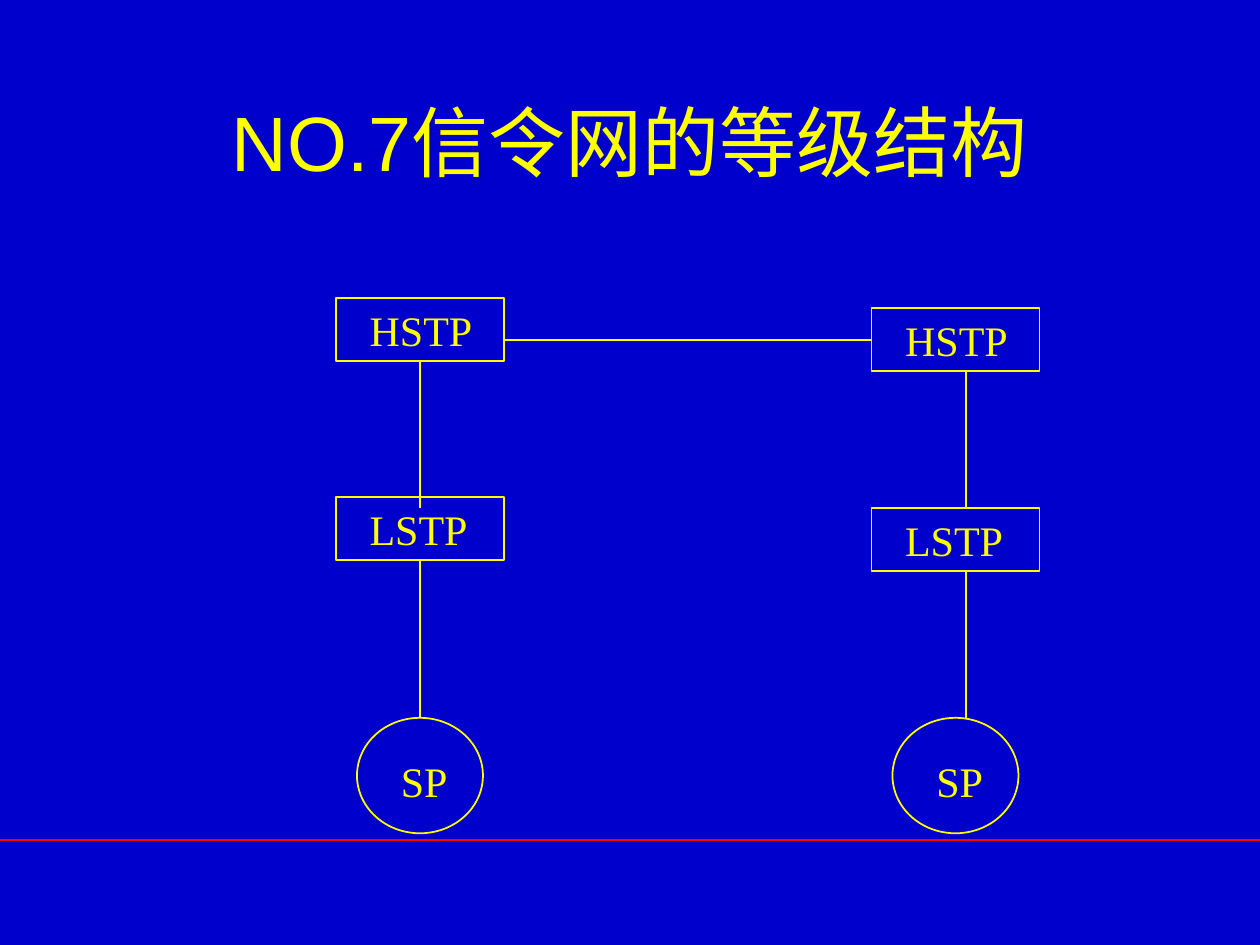
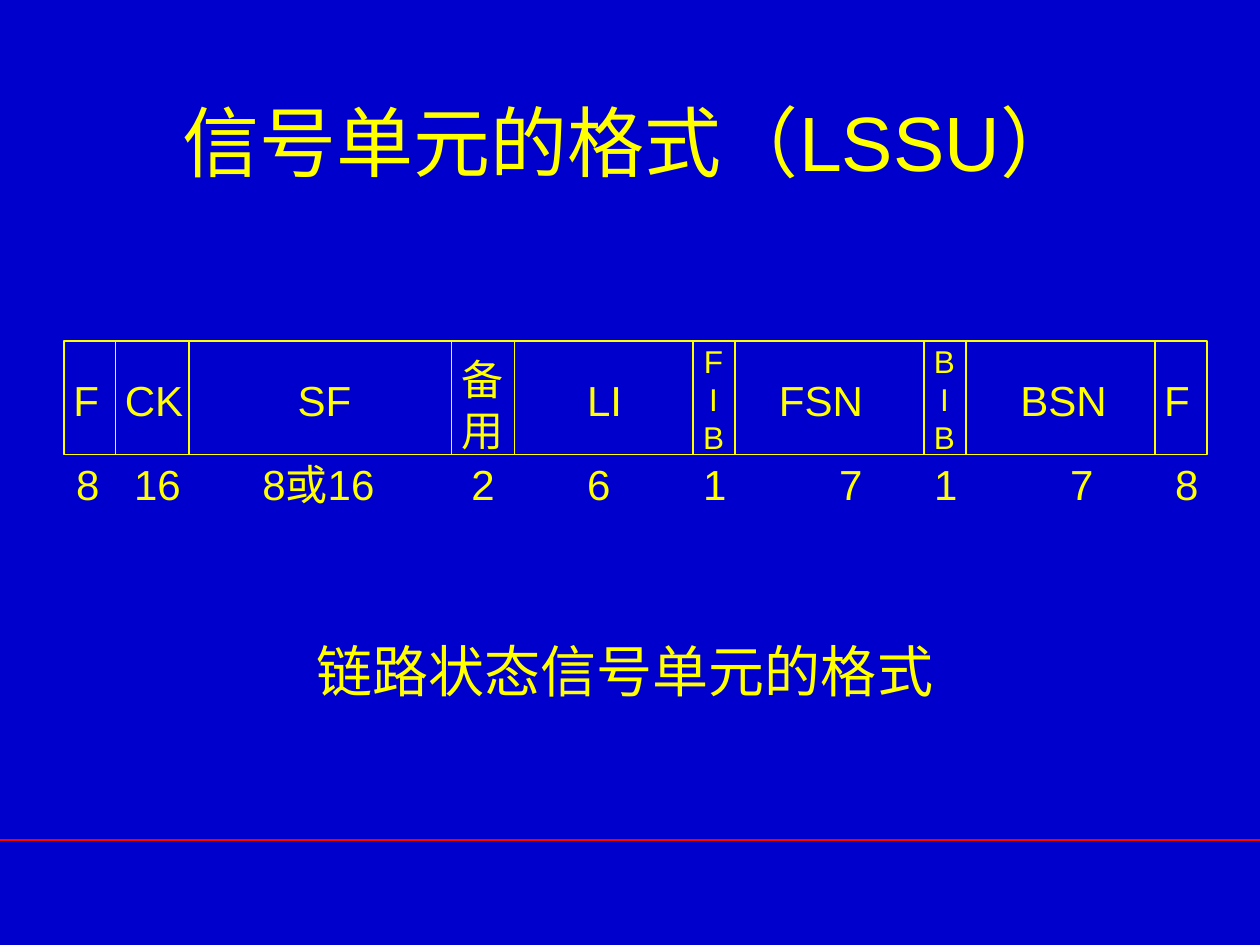
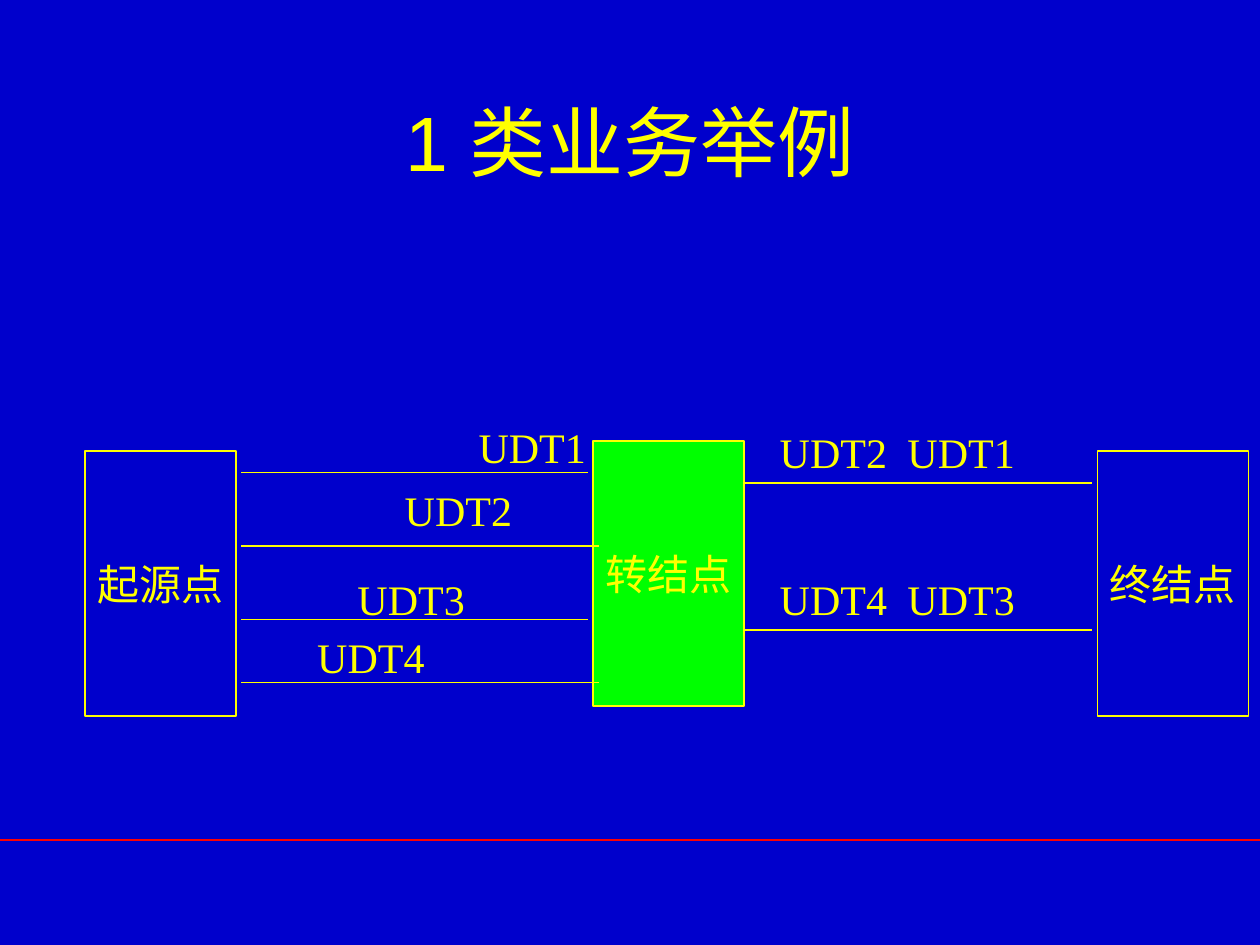
from dataclasses import dataclass

from lxml.etree import SubElement
from pptx import Presentation
from pptx.dml.color import RGBColor
from pptx.enum.shapes import MSO_CONNECTOR, MSO_SHAPE
from pptx.enum.text import MSO_ANCHOR, MSO_AUTO_SIZE, PP_ALIGN
from pptx.oxml.ns import qn
from pptx.util import Pt


@dataclass(frozen=True)
class Theme:
    background: RGBColor = RGBColor(0x00, 0x00, 0xCC)
    ink: RGBColor = RGBColor(0xFF, 0xFF, 0x00)
    rule: RGBColor = RGBColor(0xFF, 0x00, 0x00)
    highlight: RGBColor = RGBColor(0x00, 0xFF, 0x00)
    sans: str = "Arial"
    serif: str = "Times New Roman"
    title_size: float = 44
    caption_size: float = 32
    label_size: float = 24
    small_size: float = 18
    line_width: float = 1


@dataclass(frozen=True)
class Box:
    left: float
    top: float
    width: float
    height: float

    def lengths(self) -> tuple:
        return Pt(self.left), Pt(self.top), Pt(self.width), Pt(self.height)


@dataclass(frozen=True)
class Tower:
    left: float
    top: float
    stem: float
    stem_overlap: float


@dataclass(frozen=True)
class Field:
    name: str
    left: float
    name_left: float
    name_width: float
    bits: str
    bits_left: float
    bits_width: float = 28


@dataclass(frozen=True)
class Node:
    name: str
    left: float
    top: float
    filled: bool = False


@dataclass(frozen=True)
class Message:
    text: str
    left: float
    top: float
    width: float
    line_start: float
    line_end: float
    line_top: float


THEME = Theme()
SLIDE_WIDTH, SLIDE_HEIGHT = 720, 540
LABEL_HEIGHT = 36

TOWERS = [Tower(192, 170.2, 240, 6), Tower(498, 176.2, 552, 0)]
LEVEL_GAP = 114
TOWER_BOX_WIDTH = 96
CIRCLE_TOP = 410.2

FRAME = Box(36.6, 194.7, 653.1, 65)
FIELDS = [
    Field("F", 36.6, 34.8, 30, "8", 36.4),
    Field("CK", 66, 64.3, 50, "16", 69.6, 44),
    Field("SF", 108, 163, 48, "8或16", 142.8, 95),
    Field("备\n用", 258, 256.6, 38.4, "2", 262.3),
    Field("LI", 294, 328.4, 36, "6", 328.4),
    Field("F\nI\nB", 396, 394.2, 27, "1", 394.7),
    Field("FSN", 420, 438, 70, "7", 472.4),
    Field("B\nI\nB", 528, 526.2, 27, "1", 526.7),
    Field("BSN", 552, 576, 70, "7", 604.4),
    Field("F", 660, 658.1, 30, "8", 664.4),
]

NODES = [
    Node("起源点", 48.7, 257.9),
    Node("终结点", 627.1, 257.9),
    Node("转结点", 339, 251.9, True),
]
MESSAGES = [
    Message("UDT1", 266.4, 237.6, 78, 138, 336, 270),
    Message("UDT2", 224.2, 273.6, 78, 138, 342, 312),
    Message("UDT3", 197.2, 324, 78, 138, 336, 354),
    Message("UDT4", 174.2, 357.1, 78, 138, 342, 390),
    Message("UDT2\tUDT1", 438.5, 240, 185, 426, 624, 276),
    Message("UDT4\tUDT3", 438.5, 324, 185, 426, 624, 360),
]
MESSAGE_TAB = 73


def write(frame, text: str, size: float, font: str, align=PP_ALIGN.LEFT) -> None:
    frame.text = text
    for paragraph in frame.paragraphs:
        paragraph.alignment = align
        if "\t" in text:
            tabs = SubElement(paragraph._p.get_or_add_pPr(), qn("a:tabLst"))
            SubElement(tabs, qn("a:tab"), pos=str(Pt(MESSAGE_TAB)), algn="l")
        paragraph.font.size = Pt(size)
        paragraph.font.name = font
        paragraph.font.color.rgb = THEME.ink


def add_label(page, box: Box, text: str, size: float, font: str,
              align=PP_ALIGN.LEFT) -> None:
    frame = page.shapes.add_textbox(*box.lengths()).text_frame
    frame.word_wrap = False
    frame.auto_size = MSO_AUTO_SIZE.SHAPE_TO_FIT_TEXT
    write(frame, text, size, font, align)


def add_outline(page, box: Box, preset=MSO_SHAPE.RECTANGLE, fill: RGBColor | None = None):
    shape = page.shapes.add_shape(preset, *box.lengths())
    shape.shadow.inherit = False
    if fill is None:
        shape.fill.background()
    else:
        shape.fill.solid()
        shape.fill.fore_color.rgb = fill
    shape.line.color.rgb = THEME.ink
    shape.line.width = Pt(THEME.line_width)
    return shape


def add_line(page, start: tuple, end: tuple, color: RGBColor = THEME.ink):
    line = page.shapes.add_connector(
        MSO_CONNECTOR.STRAIGHT, *(Pt(value) for value in (*start, *end)))
    line.line.color.rgb = color
    line.line.width = Pt(THEME.line_width)
    SubElement(line.element.spPr, qn("a:effectLst"))
    return line


def prepare_layout(deck):
    layout = deck.slide_layouts.get_by_name("Title Only")
    layout.background.fill.solid()
    layout.background.fill.fore_color.rgb = THEME.background
    title = layout.placeholders[0]
    title.left, title.top, title.width, title.height = Box(54, 35.3, 612, 90).lengths()
    return layout


def add_page(deck, layout, title: str):
    page = deck.slides.add_slide(layout)
    write(page.shapes.title.text_frame, title, THEME.title_size, THEME.sans,
          PP_ALIGN.CENTER)
    return page


def add_footer_rule(page, layout) -> None:
    rule = add_line(page, (0, 480.2), (SLIDE_WIDTH, 480.2), THEME.rule)
    layout.shapes.element.append(rule.element)


def draw_tower(page, tower: Tower) -> None:
    lower_top = tower.top + LEVEL_GAP
    for name, top in (("HSTP", tower.top), ("LSTP", lower_top)):
        box = Box(tower.left, top, TOWER_BOX_WIDTH, LABEL_HEIGHT)
        frame = add_outline(page, box).text_frame
        frame.margin_left = Pt(19.2)
        frame.vertical_anchor = MSO_ANCHOR.TOP
        write(frame, name, THEME.label_size, THEME.serif)
    add_outline(page, Box(tower.left + 12, CIRCLE_TOP, 72, 66), MSO_SHAPE.OVAL)
    add_label(page, Box(tower.left + 30, 428.4, 66, LABEL_HEIGHT), "SP",
              THEME.label_size, THEME.serif)
    add_line(page, (tower.stem, tower.top + LABEL_HEIGHT),
             (tower.stem, lower_top + tower.stem_overlap))
    add_line(page, (tower.stem, lower_top + LABEL_HEIGHT), (tower.stem, CIRCLE_TOP))


def draw_hierarchy(page) -> None:
    for tower in TOWERS:
        draw_tower(page, tower)
    left, right = TOWERS
    add_line(page, (left.left + TOWER_BOX_WIDTH, 194.2), (right.left, 194.2))


def draw_signal_unit(page) -> None:
    add_outline(page, FRAME)
    for field in FIELDS:
        if field.left > FRAME.left:
            add_line(page, (field.left, FRAME.top),
                     (field.left, FRAME.top + FRAME.height))
        lines = field.name.count("\n") + 1
        top, height, size = {
            1: (210.7, LABEL_HEIGHT, THEME.label_size),
            2: (198.7, 65, THEME.label_size),
            3: (192.2, 72, THEME.small_size),
        }[lines]
        align = PP_ALIGN.CENTER if lines > 1 else PP_ALIGN.LEFT
        add_label(page, Box(field.name_left, top, field.name_width, height),
                  field.name, size, THEME.sans, align)
        add_label(page, Box(field.bits_left, 258.5, field.bits_width, LABEL_HEIGHT),
                  field.bits, THEME.label_size, THEME.sans)
    add_label(page, Box(174, 360, 380, 46), "链路状态信号单元的格式",
              THEME.caption_size, THEME.serif)


def draw_service(page) -> None:
    for node in NODES:
        fill = THEME.highlight if node.filled else None
        frame = add_outline(page, Box(node.left, node.top, 86.4, 151.4),
                            fill=fill).text_frame
        frame.word_wrap = False
        frame.vertical_anchor = MSO_ANCHOR.MIDDLE
        write(frame, node.name, THEME.label_size, THEME.serif, PP_ALIGN.CENTER)
    for message in MESSAGES:
        add_line(page, (message.line_start, message.line_top),
                 (message.line_end, message.line_top))
        add_label(page, Box(message.left, message.top, message.width, LABEL_HEIGHT),
                  message.text, THEME.label_size, THEME.serif)


def main() -> None:
    deck = Presentation()
    deck.slide_width, deck.slide_height = Pt(SLIDE_WIDTH), Pt(SLIDE_HEIGHT)
    layout = prepare_layout(deck)
    hierarchy = add_page(deck, layout, "NO.7信令网的等级结构")
    add_footer_rule(hierarchy, layout)
    draw_hierarchy(hierarchy)
    draw_signal_unit(add_page(deck, layout, "信号单元的格式（LSSU）"))
    draw_service(add_page(deck, layout, "1 类业务举例"))
    deck.save("out.pptx")


if __name__ == "__main__":
    main()
